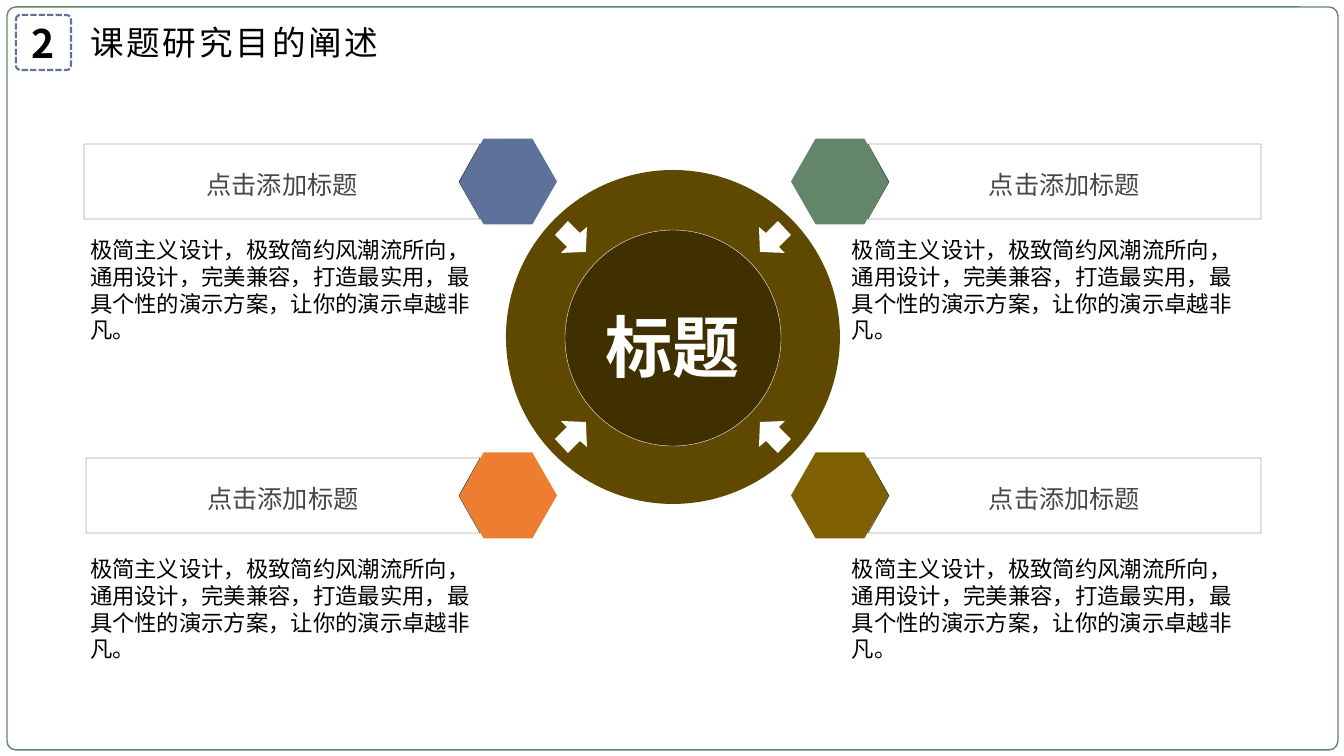
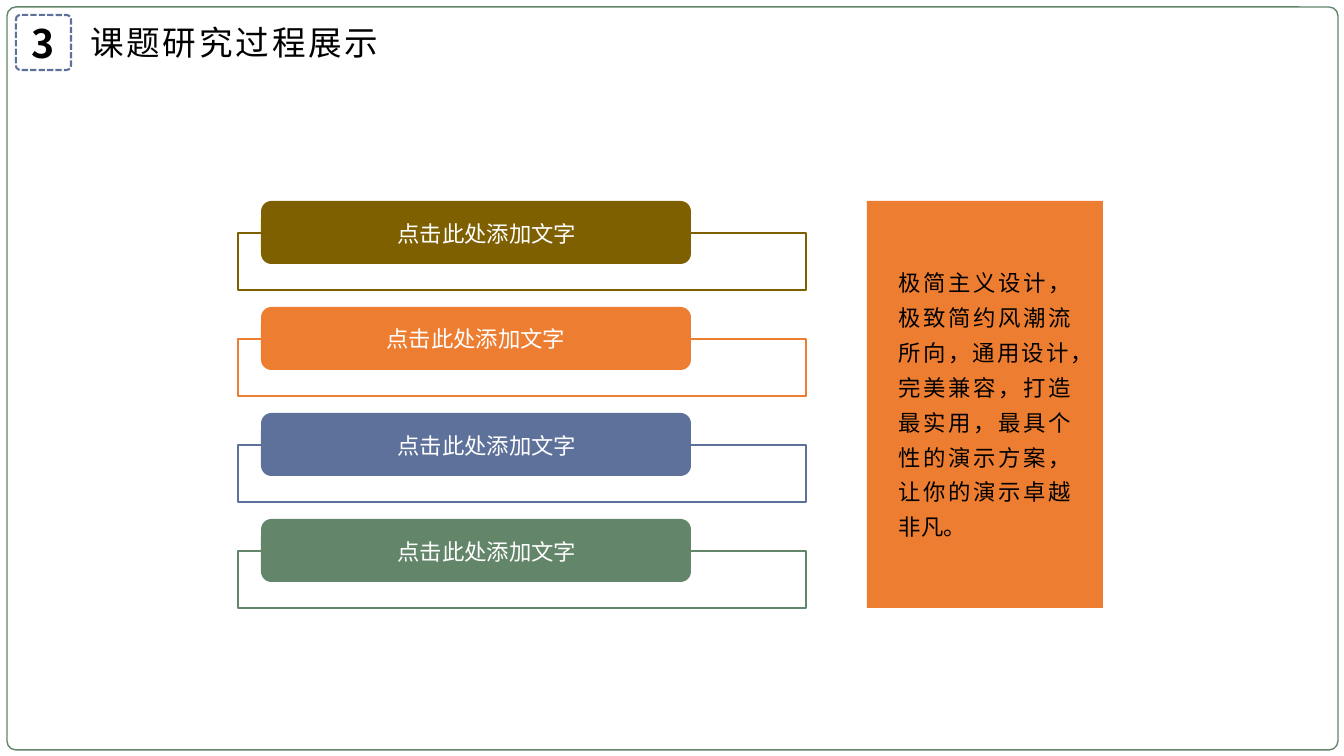
from dataclasses import dataclass

from lxml import etree
from pptx import Presentation
from pptx.dml.color import RGBColor
from pptx.enum.dml import MSO_LINE
from pptx.enum.shapes import MSO_SHAPE
from pptx.enum.text import MSO_ANCHOR, MSO_AUTO_SIZE, PP_ALIGN
from pptx.oxml.ns import qn
from pptx.util import Emu, Pt

RECT, ROUNDED = MSO_SHAPE.RECTANGLE, MSO_SHAPE.ROUNDED_RECTANGLE
OVAL, HEXAGON = MSO_SHAPE.OVAL, MSO_SHAPE.HEXAGON
LEFT, CENTER, JUSTIFY = PP_ALIGN.LEFT, PP_ALIGN.CENTER, PP_ALIGN.JUSTIFY
TOP, MIDDLE = MSO_ANCHOR.TOP, MSO_ANCHOR.MIDDLE
DASH = MSO_LINE.SQUARE_DOT
TITLE_ONLY = 5
EMU_PER_PX = 12192000 / 1344
NO_INSETS = (0, 0, 0, 0)
DEFAULT_INSETS = (10, 5, 10, 5)


@dataclass(frozen=True)
class Theme:
    font: str = "Noto Sans CJK SC"
    black: str = "000000"
    white: str = "FFFFFF"
    gray: str = "474747"
    outline: str = "002003"
    green: str = "63866A"
    blue: str = "5E719B"
    orange: str = "ED7D31"
    olive: str = "7F6000"
    ring: str = "5F4800"
    core: str = "403000"
    body_size: int = 16
    heading_size: int = 18
    title_size: int = 24
    number_size: int = 28
    core_size: int = 48


THEME = Theme()
BODY = "极简主义设计，极致简约风潮流所向，通用设计，完美兼容，打造最实用，最具个性的演示方案，让你的演示卓越非凡。"


def px(length):
    return Emu(round(length * EMU_PER_PX))


def rgb(color):
    return RGBColor.from_string(color)


def paint(shape, fill=None, line=None, width=1):
    shape.shadow.inherit = False
    if fill:
        shape.fill.solid()
        shape.fill.fore_color.rgb = rgb(fill)
    else:
        shape.fill.background()
    if line:
        shape.line.color.rgb = rgb(line)
        shape.line.width = Pt(width)
    else:
        shape.line.fill.background()
    return shape


def add_box(page, kind, box, adjust=None, **look):
    shape = page.shapes.add_shape(kind, *map(px, box))
    if adjust is not None:
        shape.adjustments[0] = adjust
    return paint(shape, **look)


def add_outline(page, points, **look):
    builder = page.shapes.build_freeform(*points[0], scale=EMU_PER_PX)
    builder.add_line_segments(points[1:], close=True)
    return paint(builder.convert_to_shape(), **look)


def write(shape, text, size, color=THEME.black, align=CENTER, anchor=MIDDLE,
          insets=DEFAULT_INSETS, bold=False, leading=None, tracking=None):
    frame = shape.text_frame
    sides = dict(zip(("margin_left", "margin_top", "margin_right", "margin_bottom"),
                     map(px, insets)))
    frame_format = {"word_wrap": True, "auto_size": MSO_AUTO_SIZE.NONE,
                    "vertical_anchor": anchor, **sides}
    para = frame.paragraphs[0]
    span = para.add_run()
    span.text = text
    formats = (
        (frame, frame_format),
        (para, {"alignment": align, "line_spacing": leading}),
        (span.font, {"size": Pt(size), "bold": bold, "name": THEME.font}),
    )
    for target, values in formats:
        for name, value in values.items():
            setattr(target, name, value)
    span.font.color.rgb = rgb(color)
    properties = span._r.get_or_add_rPr()
    etree.SubElement(properties, qn("a:ea"), typeface=THEME.font)
    if tracking:
        properties.set("spc", str(tracking * 100))


def add_body(page, box, **style):
    write(page.shapes.add_textbox(*map(px, box)), BODY, THEME.body_size, **style)


def add_page(deck, number, title):
    """Add a page with the shared frame, number badge and title."""
    page = deck.slides.add_slide(deck.slide_layouts[TITLE_ONLY])
    add_box(page, ROUNDED, (7, 7, 1331, 743), 0.012, line=THEME.green)
    badge = add_box(page, ROUNDED, (16, 15, 55, 55), 0.08, line=THEME.blue, width=1.5)
    badge.line.dash_style = DASH
    write(badge, number, THEME.number_size, bold=True, insets=NO_INSETS)
    heading = page.shapes.title
    heading.left, heading.top, heading.width, heading.height = map(px, (73, 15, 323, 55))
    write(heading, title, THEME.title_size, tracking=2)
    return page


def add_hub(page, center_x, center_y):
    """Draw the ring, its four inward arrows and the titled core."""
    radius, core_radius = 167, 108
    add_box(page, OVAL, (center_x - radius, center_y - radius, 2 * radius, 2 * radius),
            fill=THEME.ring)
    arrow = ((105, 116), (93, 104), (86, 110), (87, 85), (112, 84), (106, 90), (118, 102))
    for side in (-1, 1):
        for level in (-1, 1):
            add_outline(page, [(center_x + side * x, center_y + level * y)
                               for x, y in arrow], fill=THEME.white)
    core = add_box(page, OVAL, (center_x - core_radius, center_y - core_radius + 1,
                                2 * core_radius, 2 * core_radius),
                   fill=THEME.core, line=THEME.white, width=0.25)
    write(core, "标题", THEME.core_size, THEME.white, bold=True, leading=1.2,
          insets=NO_INSETS)


def add_topic(page, outer, inner, top, color, body_left, body_gap):
    """Draw a notched heading card, a hexagon at its inner end and the text below."""
    height, notch = 75, 21
    middle, bottom = top + height / 2, top + height
    toward_hub = 1 if inner > outer else -1
    add_box(page, HEXAGON, (inner + toward_hub * 28 - 49, middle - 43, 98, 86), 0.287,
            fill=color)
    card = add_outline(page, [(outer, top), (inner, top),
                              (inner - toward_hub * notch, middle),
                              (inner, bottom), (outer, bottom)],
                       line=THEME.outline, width=0.25)
    write(card, "点击添加标题", THEME.heading_size, THEME.gray, leading=1.2,
          insets=NO_INSETS)
    add_body(page, (body_left, bottom + body_gap, 418, 129), align=LEFT, anchor=TOP)


def add_step(page, left, top, color, inset, leading):
    """Draw an outlined track with a filled label bar over its upper edge."""
    add_box(page, RECT, (left, top + 32, 568, 57), line=color)
    bar = add_box(page, ROUNDED, (left + 23, top, 430, 63), fill=color)
    write(bar, "点击此处添加文字", THEME.body_size, THEME.white,
          insets=(inset, 5, 10, 5), leading=leading)


def add_side_note(page, left, top, width, height):
    add_box(page, RECT, (left, top, width, height), fill=THEME.orange)
    add_body(page, (left + 22, top + 55, width - 44, 292), align=JUSTIFY, anchor=TOP,
             leading=1.3)


def build_purpose(deck):
    page = add_page(deck, "2", "课题研究目的阐述")
    add_hub(page, 673, 337)
    for top, body_gap, left_edge, left_color, right_color in (
        (144, 12, 84, THEME.blue, THEME.green),
        (458, 17, 86, THEME.orange, THEME.olive),
    ):
        add_topic(page, left_edge, 480, top, left_color, 80, body_gap)
        add_topic(page, 1261, 868, top, right_color, 842, body_gap)


def build_process(deck):
    page = add_page(deck, "3", "课题研究过程展示")
    steps = ((THEME.olive, 32, 1.1), (THEME.orange, 10, None),
             (THEME.blue, 32, 1.1), (THEME.green, 32, 1.1))
    for index, (color, inset, leading) in enumerate(steps):
        add_step(page, 238, 201 + 106 * index, color, inset, leading)
    add_side_note(page, 867, 201, 236, 407)


def main():
    deck = Presentation()
    deck.slide_width, deck.slide_height = px(1344), px(756)
    build_purpose(deck)
    build_process(deck)
    deck.save("out.pptx")


if __name__ == "__main__":
    main()
